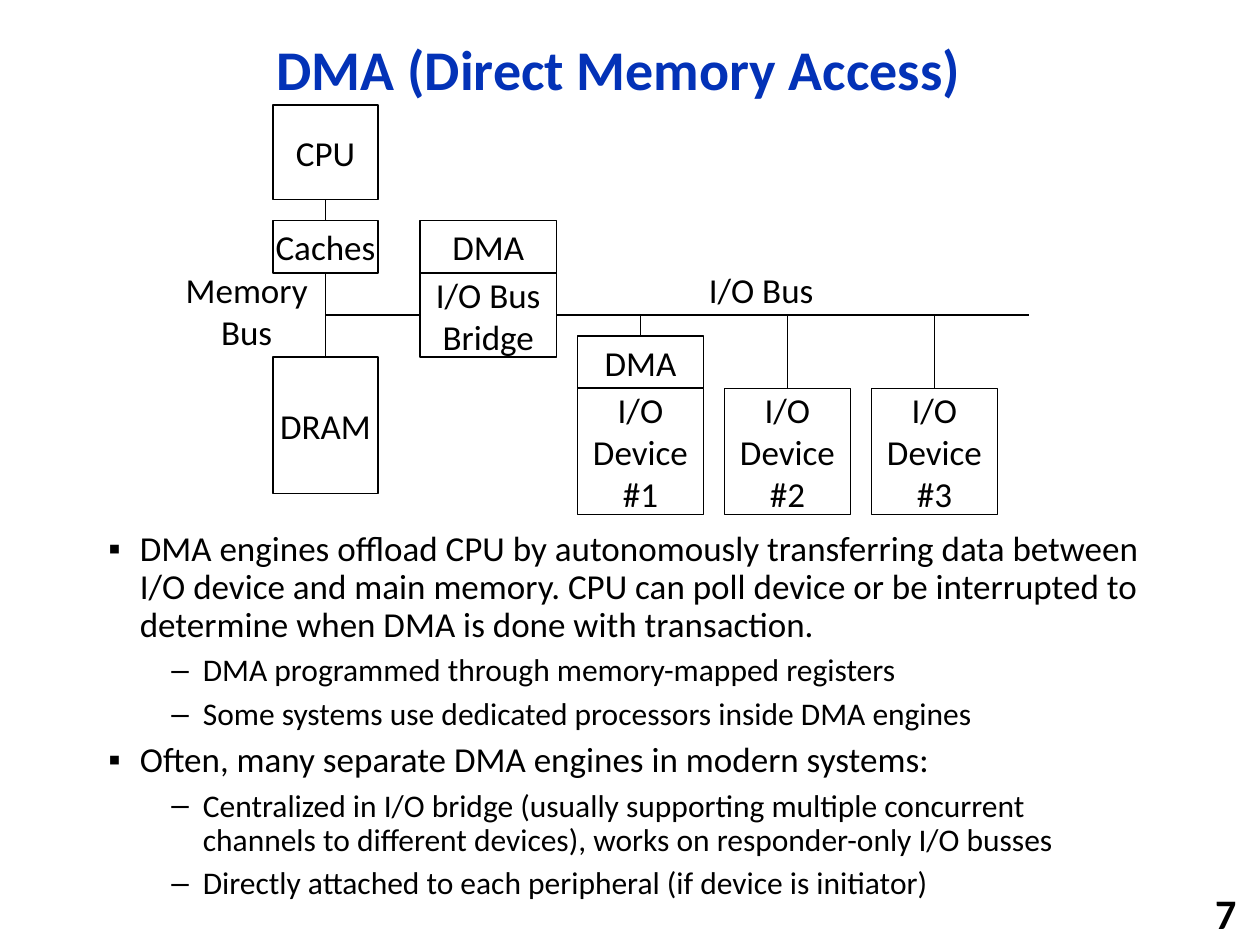
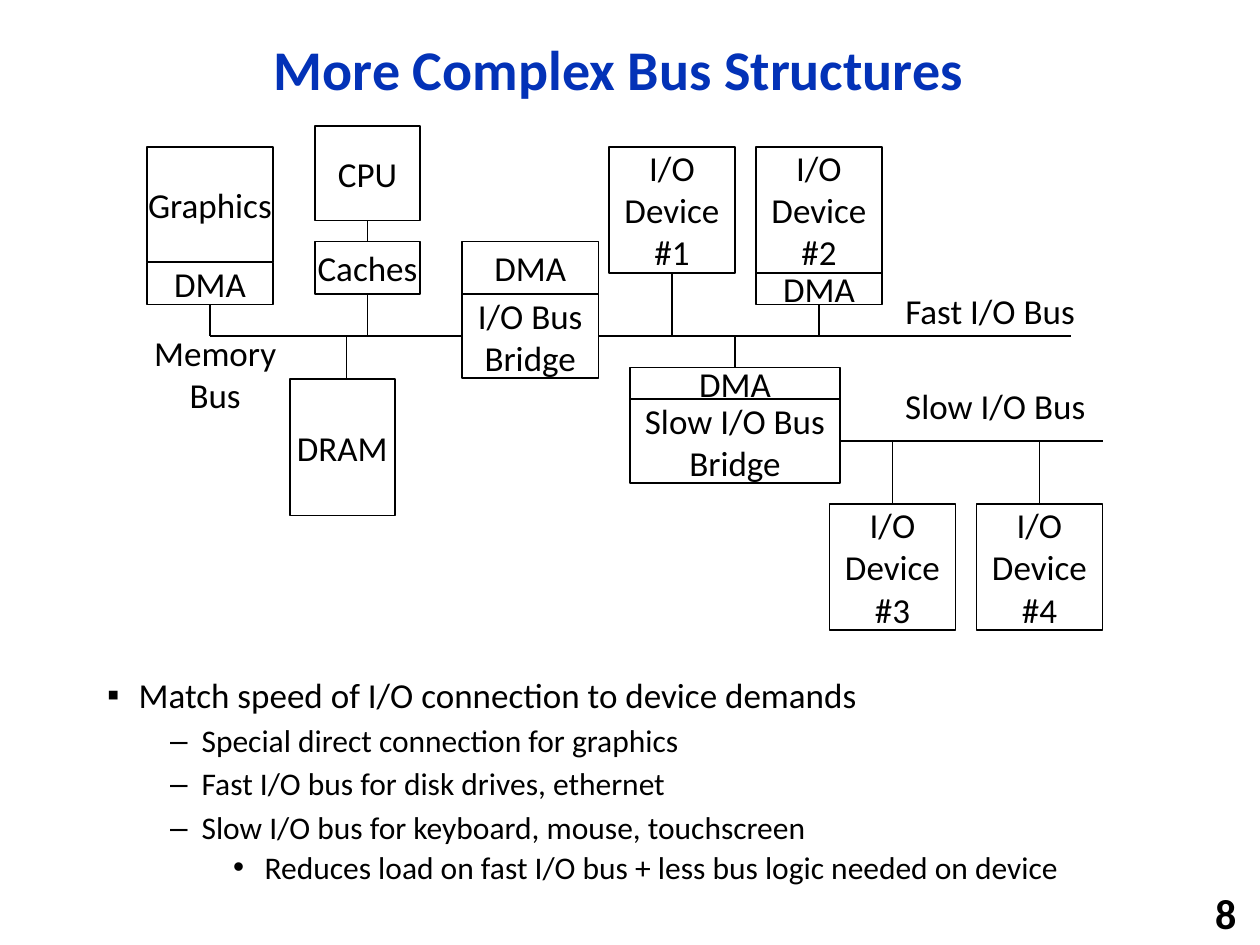
from lxml.etree import SubElement
from pptx import Presentation
from pptx.dml.color import RGBColor
from pptx.enum.shapes import MSO_CONNECTOR, MSO_SHAPE
from pptx.enum.text import MSO_ANCHOR, MSO_AUTO_SIZE, PP_ALIGN
from pptx.oxml.ns import qn
from pptx.util import Inches, Pt

FONT = "Calibri"
BLACK, WHITE, TITLE_BLUE = "000000", "FFFFFF", "0332B7"
GRID = Inches(1) / 12  # the slide is 120 columns by 90 rows
BUS_ROW = 20           # row of the main bus, counted from the top of the CPU
BRIDGE_COLUMN, BRIDGE_WIDTH = 14, 13

# Per list level: bullet, text size, left indent in inches, line spacing
LEVELS = [("▪", 20, 0.25, 0.9), ("–", 18, 0.75, 0.9), ("•", 18, 1.25, 0.8)]

DMA_POINTS = [
    (0, "DMA engines offload CPU by autonomously transferring data between I/O device "
        "and main memory. CPU can poll device or be interrupted to determine when DMA "
        "is done with transaction."),
    (1, "DMA programmed through memory-mapped registers"),
    (1, "Some systems use dedicated processors inside DMA engines"),
    (0, "Often, many separate DMA engines in modern systems:"),
    (1, "Centralized in I/O bridge (usually supporting multiple concurrent channels to "
        "different devices), works on responder-only I/O busses"),
    (1, "Directly attached to each peripheral (if device is initiator)"),
]
BUS_POINTS = [
    (0, "Match speed of I/O connection to device demands"),
    (1, "Special direct connection for graphics"),
    (1, "Fast I/O bus for disk drives, ethernet"),
    (1, "Slow I/O bus for keyboard, mouse, touchscreen"),
    (2, "Reduces load on fast I/O bus + less bus logic needed on device"),
]


def color(hex_string):
    return RGBColor.from_string(hex_string)


def format_font(font, size, hex_string=BLACK, bold=False):
    font.name, font.size, font.bold = FONT, Pt(size), bold
    font.color.rgb = color(hex_string)


def place(shape, left, top, width, height):
    shape.left, shape.top = Inches(left), Inches(top)
    shape.width, shape.height = Inches(width), Inches(height)


def write_line(shape, text, size, alignment, hex_string=BLACK, bold=False):
    frame = shape.text_frame
    frame.text = text
    frame.word_wrap = True
    frame.vertical_anchor = MSO_ANCHOR.MIDDLE
    paragraph = frame.paragraphs[0]
    paragraph.alignment = alignment
    format_font(paragraph.runs[0].font, size, hex_string, bold)
    return paragraph


def fill_list(body, points):
    frame = body.text_frame
    frame.auto_size = MSO_AUTO_SIZE.NONE
    frame.text = "\n".join(text for _, text in points)
    for index, (paragraph, (level, _)) in enumerate(zip(frame.paragraphs, points)):
        bullet, size, indent, spacing = LEVELS[level]
        paragraph.level = level
        properties = paragraph._p.get_or_add_pPr()
        properties.set("marL", str(Inches(indent)))
        properties.set("indent", str(Inches(-0.25)))
        SubElement(properties, qn("a:buChar")).set("char", bullet)
        paragraph.line_spacing = spacing
        paragraph.space_before = Pt(0.3 * size if index else 0)
        format_font(paragraph.runs[0].font, size)


def add_content_slide(presentation, title, number, points, list_box):
    slide = presentation.slides.add_slide(presentation.slide_layouts[1])
    heading, body = slide.placeholders
    place(heading, 0.92, 0.17, 7.98, 0.81)
    heading.text_frame.auto_size = MSO_AUTO_SIZE.NONE
    write_line(heading, title, 32, PP_ALIGN.CENTER, TITLE_BLUE, True).line_spacing = 0.9
    place(body, *list_box)
    fill_list(body, points)
    number_box = slide.shapes.add_textbox(0, 0, 0, 0)
    place(number_box, 7.83, 7.08, 2.08, 0.32)
    write_line(number_box, str(number), 24, PP_ALIGN.RIGHT, bold=True)
    return slide


class BusDiagram:
    """Draws on grid columns and rows counted from the CPU's top left corner."""

    def __init__(self, slide, left, top):
        self.shapes, self.left, self.top = slide.shapes, left, top

    def point(self, column, row):
        return round((self.left + column) * GRID), round((self.top + row) * GRID)

    def size(self, width, height):
        return round(width * GRID), round(height * GRID)

    def box(self, text, column, row, width, height):
        shape = self.shapes.add_shape(MSO_SHAPE.RECTANGLE, *self.point(column, row),
                                      *self.size(width, height))
        shape.shadow.inherit = False
        shape.fill.solid()
        shape.fill.fore_color.rgb = color(WHITE)
        shape.line.color.rgb = color(BLACK)
        shape.line.width = Pt(1)
        frame = shape.text_frame
        frame.margin_left = frame.margin_right = frame.margin_top = frame.margin_bottom = 0
        write_line(shape, text, 20, PP_ALIGN.CENTER)

    def label(self, text, column, row, width, height=5.28):
        shape = self.shapes.add_textbox(*self.point(column, row), *self.size(width, height))
        write_line(shape, text, 20, PP_ALIGN.CENTER)
        shape.text_frame.vertical_anchor = MSO_ANCHOR.TOP

    def line(self, start, end):
        connector = self.shapes.add_connector(MSO_CONNECTOR.STRAIGHT, *self.point(*start),
                                              *self.point(*end))
        connector.line.color.rgb = color(BLACK)
        connector.line.width = Pt(1)
        SubElement(connector._element.spPr, qn("a:effectLst"))

    def bus(self, start, end, row=BUS_ROW):
        self.line((start, row), (end, row))

    def drop(self, column, start, end=BUS_ROW):
        self.line((column, start), (column, end))

    def bridge(self, text, column, row, width, dma_height):
        """A bridge whose DMA engine sits on top of it, at the given row."""
        self.box(text, column, row + dma_height, width, 8)
        self.box("DMA", column, row, width, dma_height)

    def device(self, number, column, row, bus_row=BUS_ROW):
        self.drop(column + 6, row + 6, bus_row)
        self.box(f"I/O Device #{number}", column, row, 12, 12)

    def core(self, memory_bus_start):
        """CPU, caches, bridge and both sides of the main bus."""
        self.drop(5, 9, 11)
        self.drop(5, 16)
        self.bus(memory_bus_start, BRIDGE_COLUMN)
        self.bus(BRIDGE_COLUMN + BRIDGE_WIDTH, 72)
        self.box("CPU", 0, 0, 10, 9)
        self.box("Caches", 0, 11, 10, 5)
        self.bridge("I/O Bus Bridge", BRIDGE_COLUMN, 11, BRIDGE_WIDTH, 5)

    def memory(self, column, row, drop_column):
        self.drop(drop_column, row)
        self.box("DRAM", column, row, 10, 13)


def draw_single_bus(slide, left, top):
    diagram = BusDiagram(slide, left, top)
    diagram.core(memory_bus_start=5)
    diagram.memory(0, 24, drop_column=5)
    diagram.label("Memory Bus", -11, 15, 17, 9.24)
    diagram.label("I/O Bus", 38, 15, 17)
    for index in range(3):
        diagram.device(index + 1, 29 + 14 * index, 27)
    diagram.box("DMA", 29, 22, 12, 5)


def draw_fast_and_slow_bus(slide, left, top):
    diagram = BusDiagram(slide, left, top)
    diagram.core(memory_bus_start=-10)
    diagram.memory(-2.4, 24.1, drop_column=3)
    diagram.label("Memory Bus", -18, 19, 17, 9.24)

    diagram.drop(-10, 13)
    diagram.box("Graphics", -16, 2, 12, 11)
    diagram.box("DMA", -16, 13, 12, 4)

    diagram.label("Fast I/O Bus", 54.3, 15, 20)
    for index in range(2):
        diagram.device(index + 1, 28 + 14 * index, 2)
    diagram.box("DMA", 42, 14, 12, 3)

    slow_row = 30
    diagram.drop(40, 23)
    diagram.bridge("Slow I/O Bus Bridge", 30, 23, 20, 3)
    diagram.bus(50, 75, slow_row)
    diagram.label("Slow I/O Bus", 53.3, 24, 23)
    for index in range(2):
        diagram.device(index + 3, 49 + 14 * index, 36, slow_row)


def main():
    presentation = Presentation()
    presentation.slide_width, presentation.slide_height = Inches(10), Inches(7.5)
    slide = add_content_slide(presentation, "DMA (Direct Memory Access)", 7,
                              DMA_POINTS, (0.76, 4.17, 8.4, 2.53))
    draw_single_bus(slide, 26, 10)
    slide = add_content_slide(presentation, "More Complex Bus Structures", 8,
                              BUS_POINTS, (0.75, 5.33, 8.4, 1.61))
    draw_fast_and_slow_bus(slide, 30, 12)
    presentation.save("out.pptx")


if __name__ == "__main__":
    main()
